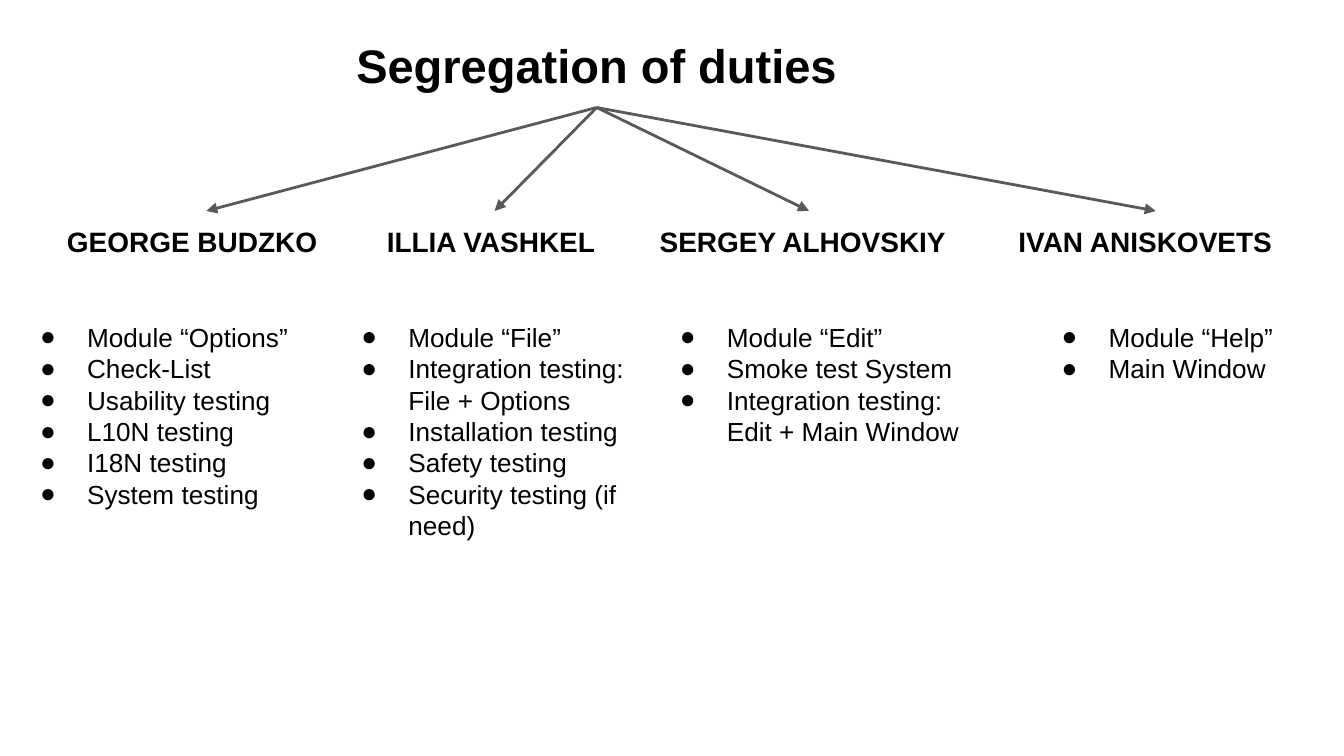
from dataclasses import dataclass

from lxml import etree
from pptx import Presentation
from pptx.dml.color import RGBColor
from pptx.enum.shapes import MSO_CONNECTOR
from pptx.enum.text import MSO_ANCHOR, MSO_AUTO_SIZE, PP_ALIGN
from pptx.oxml.ns import qn
from pptx.util import Inches, Pt

STRAIGHT = MSO_CONNECTOR.STRAIGHT
TOP, BOTTOM = 0, 2  # connection sites of a rectangle


@dataclass(frozen=True)
class Theme:
    font: str = "Arial"
    text: str = "000000"
    arrow: str = "595959"
    title_size: float = 25.2
    name_size: float = 15
    duty_size: float = 14
    arrow_width: float = 1.5


THEME = Theme()
TITLE = "Segregation of duties"

# Name, (left, width) of the name, (left, width) of the duties, duties
PEOPLE = [
    ("GEORGE BUDZKO", (0.4, 2.27), (0.05, 2.24),
     ["Module “Options”", "Check-List", "Usability testing",
      "L10N testing", "I18N testing", "System testing"]),
    ("ILLIA VASHKEL", (2.78, 1.8), (2.44, 2.42),
     ["Module “File”", "Integration testing: File + Options",
      "Installation testing", "Safety testing", "Security testing (if need)"]),
    ("SERGEY ALHOVSKIY", (4.81, 2.42), (4.81, 2.52),
     ["Module “Edit”", "Smoke test System",
      "Integration testing: Edit + Main Window"]),
    ("IVAN ANISKOVETS", (7.48, 2.24), (7.65, 2.18),
     ["Module “Help”", "Main Window"]),
]

SLIDE_WIDTH = 10
SLIDE_HEIGHT = SLIDE_WIDTH * 9 / 16
NAME_TOP, NAME_HEIGHT = 1.57, 0.45
DUTY_TOP, DUTY_LINE = 2.29, 0.24
WRAP_LENGTH = 25  # longer duties take two lines
INSET = 0.1
BULLET_MARGIN, BULLET_INDENT = 0.5, -0.35


def fill_text(box, lines, size, bold=False):
    frame = box.text_frame
    frame.word_wrap = True
    frame.margin_left = frame.margin_right = Inches(INSET)
    frame.margin_top = frame.margin_bottom = Inches(INSET)
    frame.text = "\n".join(lines)
    for para in frame.paragraphs:
        for span in para.runs:
            span.font.name = THEME.font
            span.font.size = Pt(size)
            span.font.bold = bold
            span.font.color.rgb = RGBColor.from_string(THEME.text)


def add_text(page, left, top, width, height, lines, size, bold=False):
    box = page.shapes.add_textbox(*map(Inches, (left, top, width, height)))
    fill_text(box, lines, size, bold)
    box.text_frame.auto_size = MSO_AUTO_SIZE.SHAPE_TO_FIT_TEXT
    return box


def add_bullets(box):
    for para in box.text_frame.paragraphs:
        props = para._p.get_or_add_pPr()
        props.set("marL", str(Inches(BULLET_MARGIN)))
        props.set("indent", str(Inches(BULLET_INDENT)))
        color = etree.SubElement(props, qn("a:buClr"))
        etree.SubElement(color, qn("a:srgbClr"), val=THEME.text)
        etree.SubElement(props, qn("a:buFont"), typeface=THEME.font)
        etree.SubElement(props, qn("a:buChar"), char="●")


def add_arrow(page, source, target):
    arrow = page.shapes.add_connector(STRAIGHT, 0, 0, 0, 0)
    arrow.begin_connect(source, BOTTOM)
    arrow.end_connect(target, TOP)
    arrow.line.color.rgb = RGBColor.from_string(THEME.arrow)
    arrow.line.width = Pt(THEME.arrow_width)
    etree.SubElement(arrow.line._get_or_add_ln(), qn("a:tailEnd"), type="triangle")
    etree.SubElement(arrow._element.spPr, qn("a:effectLst"))


def main():
    deck = Presentation()
    deck.slide_width, deck.slide_height = Inches(SLIDE_WIDTH), Inches(SLIDE_HEIGHT)
    page = deck.slides.add_slide(deck.slide_layouts.get_by_name("Title Only"))

    title = page.shapes.title
    title.left, title.top = Inches(-0.22), Inches(0.17)
    title.width, title.height = Inches(9.32), Inches(0.63)
    fill_text(title, [TITLE], THEME.title_size, bold=True)
    title.text_frame.vertical_anchor = MSO_ANCHOR.MIDDLE
    title.text_frame.paragraphs[0].alignment = PP_ALIGN.CENTER

    names = [
        add_text(page, left, NAME_TOP, width, NAME_HEIGHT, [name],
                 THEME.name_size, bold=True)
        for name, (left, width), _, _ in PEOPLE
    ]
    for _, _, (left, width), duties in PEOPLE:
        rows = sum(2 if len(duty) > WRAP_LENGTH else 1 for duty in duties)
        height = 2 * INSET + DUTY_LINE * rows
        add_bullets(add_text(page, left, DUTY_TOP, width, height, duties,
                             THEME.duty_size))
    for name in names:
        add_arrow(page, title, name)

    deck.save("out.pptx")


if __name__ == "__main__":
    main()
